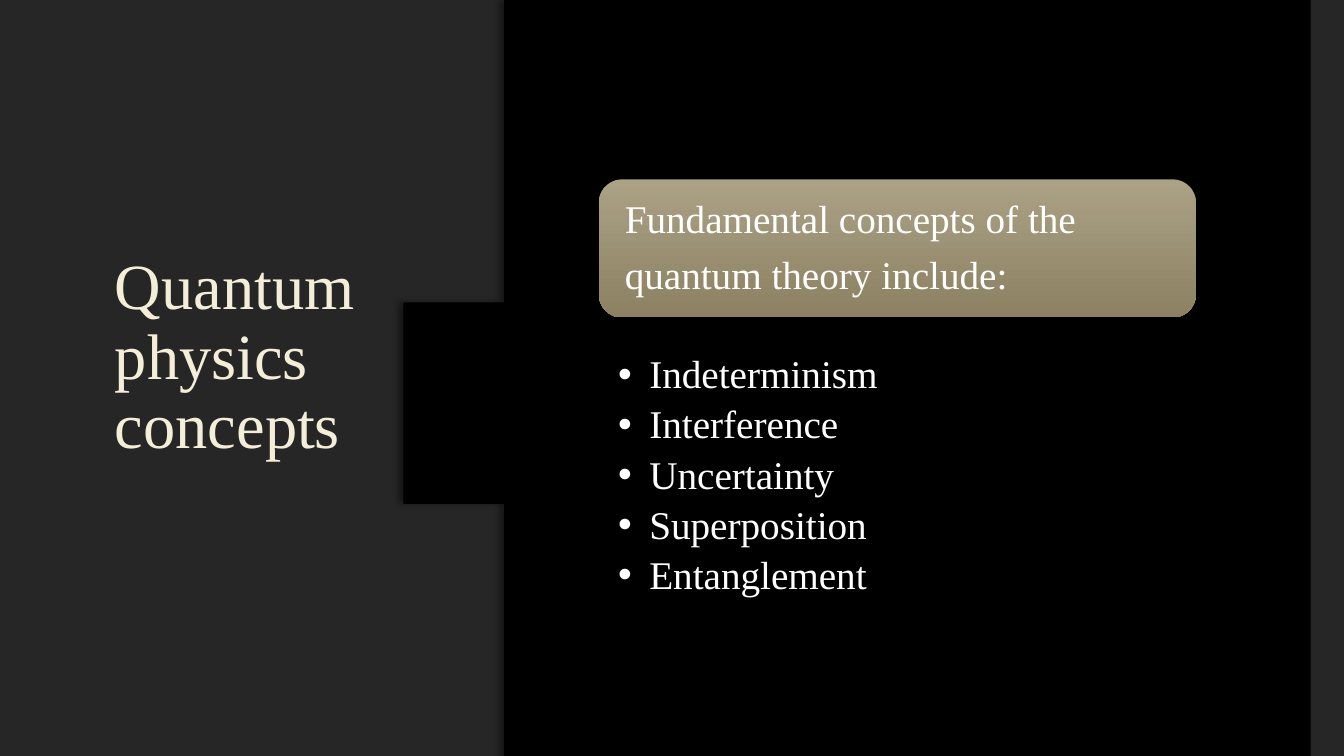
from pptx import Presentation
from pptx import util as u
from pptx.dml.color import RGBColor
from pptx.enum import shapes, text
from pptx.oxml import parse_xml
from pptx.oxml.ns import nsdecls, qn


def rgb(value):
    return RGBColor.from_string(value)


def effects(alpha, blur, dist, angle):
    return parse_xml(
        f'<a:effectLst {nsdecls("a")}><a:outerShdw blurRad="{u.Pt(blur)}" '
        f'dist="{u.Pt(dist)}" dir="{angle * 60000}" algn="ctr" rotWithShape="0">'
        f'<a:srgbClr val="000000"><a:alpha val="{alpha * 1000}"/></a:srgbClr>'
        '</a:outerShdw></a:effectLst>')


class Deck:
    """Hold the style and the current slide, and add each kind of element."""

    FONT = "Times New Roman"
    BLACK, PANEL, CREAM, WHITE = "000000", "262626", "F4EDD8", "FFFFFF"
    GOLD = ("ABA185", "8C8162")

    def __init__(self, width, height):
        self.width, self.height = width, height
        self.prs = Presentation()
        self.prs.slide_width = u.Inches(width)
        self.prs.slide_height = u.Inches(height)
        self.slide = self.prs.slides.add_slide(self.prs.slide_layouts[1])
        fill = self.slide.background.fill
        fill.solid()
        fill.fore_color.rgb = rgb(self.BLACK)

    def place(self, sp, *box):
        for name, value in zip(("left", "top", "width", "height"), box):
            setattr(sp, name, u.Inches(value))

    def finish(self, sp, color=None, shadow=None):
        sp.shadow.inherit = False
        sp.line.fill.background()
        if color:
            sp.fill.solid()
            sp.fill.fore_color.rgb = rgb(color)
        if shadow:
            old = sp._element.spPr.find(qn("a:effectLst"))
            old.getparent().replace(old, effects(*shadow))

    def box(self, kind, *box, color=None, shadow=None):
        sp = self.slide.shapes.add_shape(kind, *map(u.Inches, box))
        self.finish(sp, color, shadow)
        return sp

    def set_text(self, sp, lines, size, color, after=0, indent=(0, 0), bullet=None,
                 inset=(0.1, 0.05), anchor=text.MSO_ANCHOR.MIDDLE):
        tf = sp.text_frame
        side, edge = map(u.Inches, inset)
        frame = {"word_wrap": True, "auto_size": text.MSO_AUTO_SIZE.NONE,
                 "vertical_anchor": anchor, "margin_left": side,
                 "margin_right": side, "margin_top": edge, "margin_bottom": edge}
        for name, value in frame.items():
            setattr(tf, name, value)
        spacing = {"alignment": text.PP_ALIGN.LEFT, "line_spacing": 0.9,
                   "space_before": u.Pt(0), "space_after": u.Pt(after)}
        for i, line in enumerate(lines):
            p = tf.paragraphs[0] if i == 0 else tf.add_paragraph()
            pPr = p._p.get_or_add_pPr()
            pPr.set("marL", str(u.Inches(indent[0])))
            pPr.set("indent", str(u.Inches(indent[1])))
            if bullet:
                pPr.append(parse_xml(f'<a:buFont {nsdecls("a")} typeface="Arial"/>'))
                pPr.append(parse_xml(f'<a:buChar {nsdecls("a")} char="{bullet}"/>'))
            for name, value in spacing.items():
                setattr(p, name, value)
            r = p.add_run()
            r.text = line
            for name, value in {"name": self.FONT, "size": u.Pt(size)}.items():
                setattr(r.font, name, value)
            r.font.color.rgb = rgb(color)

    def title(self, words, *box):
        sp = self.slide.shapes.title
        self.place(sp, *box)
        self.set_text(sp, [words], 46, self.CREAM, indent=(0.04, 0))
        rPr = sp.text_frame.paragraphs[0].runs[0]._r.get_or_add_rPr()
        rPr.find(qn("a:solidFill")).addnext(effects(60, 4, 2, 45))

    def curved_panel(self, edge, bulge, steps=48):
        mid = self.height / 2
        curve = []
        for i in range(steps + 1):
            y = self.height * i / steps
            curve.append((edge + bulge * ((y - mid) / mid) ** 2, y))
        fb = self.slide.shapes.build_freeform(self.width, 0, scale=u.Inches(1))
        fb.add_line_segments(curve + [(self.width, self.height)], close=True)
        self.finish(fb.convert_to_shape(), self.BLACK, (40, 4, 3, 180))

    def banner(self, lines, *box):
        sp = self.box(shapes.MSO_SHAPE.ROUNDED_RECTANGLE, *box, shadow=(60, 5, 2, 90))
        sp.fill.gradient()
        sp.fill.gradient_angle = 270
        for stop, color, position in zip(sp.fill.gradient_stops, self.GOLD, (0, 1)):
            stop.color.rgb = rgb(color)
            stop.position = position
        self.set_text(sp, lines, 28, self.WHITE, after=9.8, inset=(0.19, 0.12))

    def bullets(self, lines, *box):
        sp = self.slide.placeholders[1]
        self.place(sp, *box)
        self.set_text(sp, lines, 28, self.WHITE, after=5.6, indent=(0.31, -0.31),
                      bullet="•", inset=(0.19, 0.04), anchor=text.MSO_ANCHOR.TOP)
        self.slide.shapes._spTree.append(sp._element)


def main():
    deck = Deck(13.33, 7.5)
    panel = deck.box(shapes.MSO_SHAPE.RECTANGLE, 0, 0, deck.width, deck.height,
                     color=deck.PANEL)
    deck.slide.shapes.title._element.addprevious(panel._element)
    deck.title("Quantum physics concepts", 1, 0.67, 3.06, 5.77)
    deck.curved_panel(4.47, 0.38)
    deck.banner(["Fundamental concepts of the", "quantum theory include:"],
                5.94, 1.78, 5.92, 1.37)
    deck.bullets(["Indeterminism", "Interference", "Uncertainty", "Superposition",
                  "Entanglement"], 5.94, 3.48, 5.92, 2.58)
    deck.prs.save("out.pptx")


if __name__ == "__main__":
    main()
